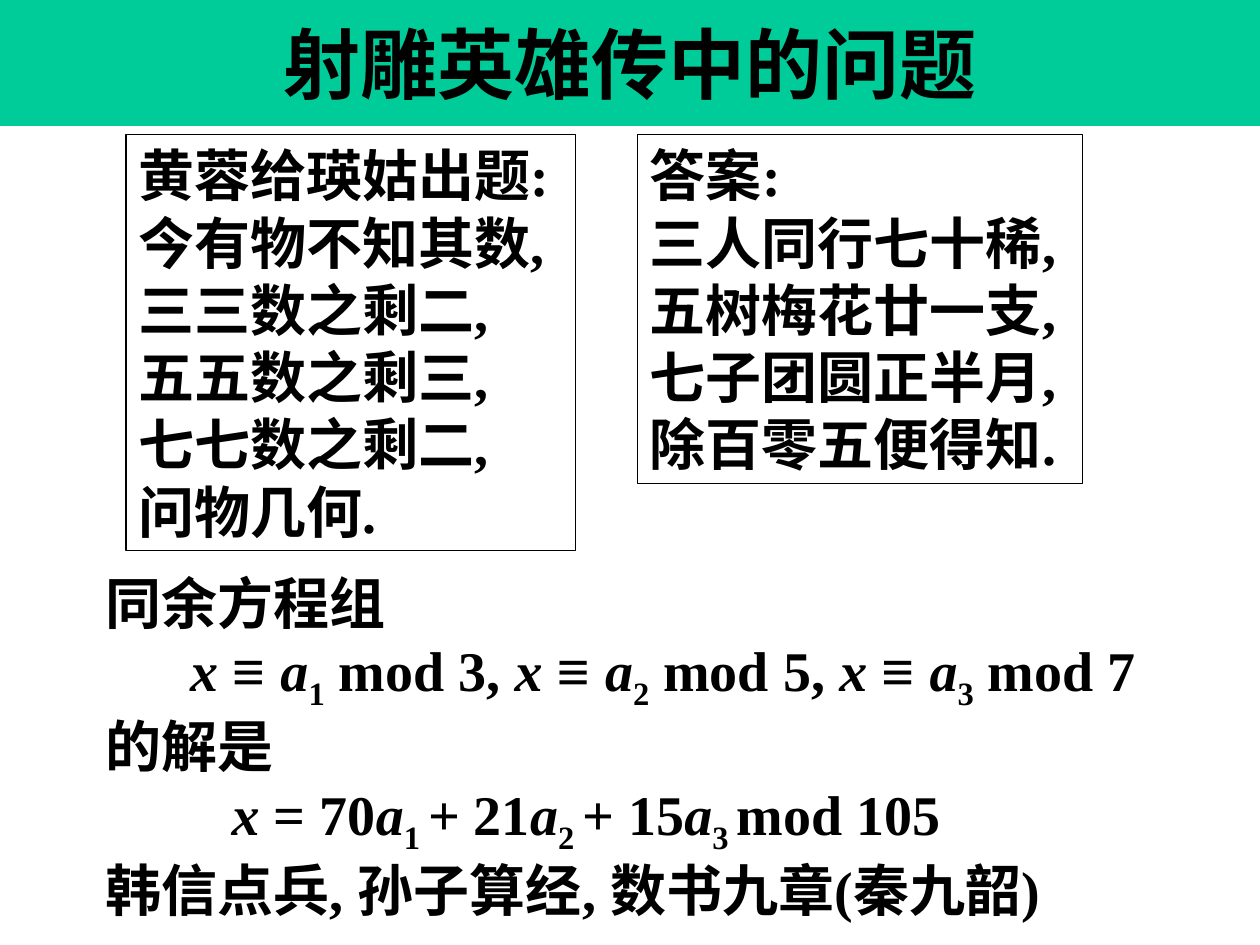
from pptx import Presentation
from pptx.dml.color import RGBColor
from pptx.enum.shapes import MSO_SHAPE
from pptx.enum.text import MSO_ANCHOR, MSO_AUTO_SIZE, PP_ALIGN
from pptx.util import Inches, Pt

RECTANGLE = MSO_SHAPE.RECTANGLE
TOP, MIDDLE = MSO_ANCHOR.TOP, MSO_ANCHOR.MIDDLE
NO_FIT, GROW = MSO_AUTO_SIZE.NONE, MSO_AUTO_SIZE.SHAPE_TO_FIT_TEXT
LEFT, CENTER = PP_ALIGN.LEFT, PP_ALIGN.CENTER

THEME = {
    "banner": RGBColor(0x00, 0xCC, 0x99),
    "ink": RGBColor(0, 0, 0),
    "font": "Times New Roman",
    "symbol_font": "Arial",
    "title_size": Pt(44),
    "body_size": Pt(32),
    "line_width": Pt(0.75),
    "subscript": "-25000",
}

# Content
TITLE = "射雕英雄传中的问题"
VERSES = [
    ((1, 1.07, 3.57, 3.3),
     ["黄蓉给瑛姑出题:", "今有物不知其数,", "三三数之剩二,",
      "五五数之剩三,", "七七数之剩二,", "问物几何."]),
    ((5.06, 1.07, 3.53, 2.77),
     ["答案:", "三人同行七十稀,", "五树梅花廿一支,",
      "七子团圆正半月,", "除百零五便得知."]),
]

# Formula pieces are (text, style)
CONGRUENCES = []
for index, ending in enumerate([" mod 3, ", " mod 5, ", " mod 7"], start=1):
    CONGRUENCES += [("x ", "variable"), ("≡ ", "symbol"), ("a", "variable"),
                    (str(index), "subscript"), (ending, "plain")]

SOLUTION = [("x", "variable")]
for index, coefficient in enumerate([" = 70", "+ 21", "+ 15"], start=1):
    SOLUTION += [(coefficient, "plain"), ("a", "variable"),
                 (f"{index} ", "subscript")]
SOLUTION.append(("mod 105", "plain"))

# Each line is (indent in inches, pieces)
EXPLANATION_BOX = (0.74, 4.46, 8.62, 2.92)
EXPLANATION = [
    (0, [("同余方程组", "plain")]),
    (0.67, CONGRUENCES),
    (0, [("的解是", "plain")]),
    (1, SOLUTION),
    (0, [("韩信点兵, 孙子算经, 数书九章(秦九韶)", "plain")]),
]


def format_run(run, size, style="plain"):
    font = run.font
    font.name = THEME["symbol_font" if style == "symbol" else "font"]
    font.size = size
    font.bold = True
    font.italic = style == "variable"
    font.color.rgb = THEME["ink"]
    if style == "subscript":
        run._r.get_or_add_rPr().set("baseline", THEME["subscript"])


def add_verse(slide, box, lines):
    shape = slide.shapes.add_shape(RECTANGLE, *map(Inches, box))
    shape.shadow.inherit = False
    shape.fill.background()
    shape.line.color.rgb = THEME["ink"]
    shape.line.width = THEME["line_width"]
    frame = shape.text_frame
    frame.text = "\n".join(lines)
    frame.word_wrap = False
    frame.auto_size = GROW
    frame.vertical_anchor = TOP
    for paragraph in frame.paragraphs:
        paragraph.alignment = LEFT
        format_run(paragraph.runs[0], THEME["body_size"])


def add_explanation(slide):
    frame = slide.shapes.add_textbox(*map(Inches, EXPLANATION_BOX)).text_frame
    frame.word_wrap = True
    for number, (indent, pieces) in enumerate(EXPLANATION):
        paragraph = frame.add_paragraph() if number else frame.paragraphs[0]
        paragraph._p.get_or_add_pPr().set("marL", str(Inches(indent)))
        for text, style in pieces:
            run = paragraph.add_run()
            run.text = text
            format_run(run, THEME["body_size"], style)


def main():
    presentation = Presentation()
    presentation.slide_width, presentation.slide_height = Inches(10), Inches(7.5)
    slide = presentation.slides.add_slide(presentation.slide_layouts[5])

    # Title banner
    title = slide.shapes.title
    title.left, title.top = Inches(0), Inches(0)
    title.width, title.height = Inches(10), Inches(1)
    title.fill.solid()
    title.fill.fore_color.rgb = THEME["banner"]
    frame = title.text_frame
    frame.text = TITLE
    frame.auto_size = NO_FIT
    frame.vertical_anchor = MIDDLE
    frame.paragraphs[0].alignment = CENTER
    format_run(frame.paragraphs[0].runs[0], THEME["title_size"])

    # Riddle and answer, then the mathematics behind them
    for box, lines in VERSES:
        add_verse(slide, box, lines)
    add_explanation(slide)

    presentation.save("out.pptx")


if __name__ == "__main__":
    main()
